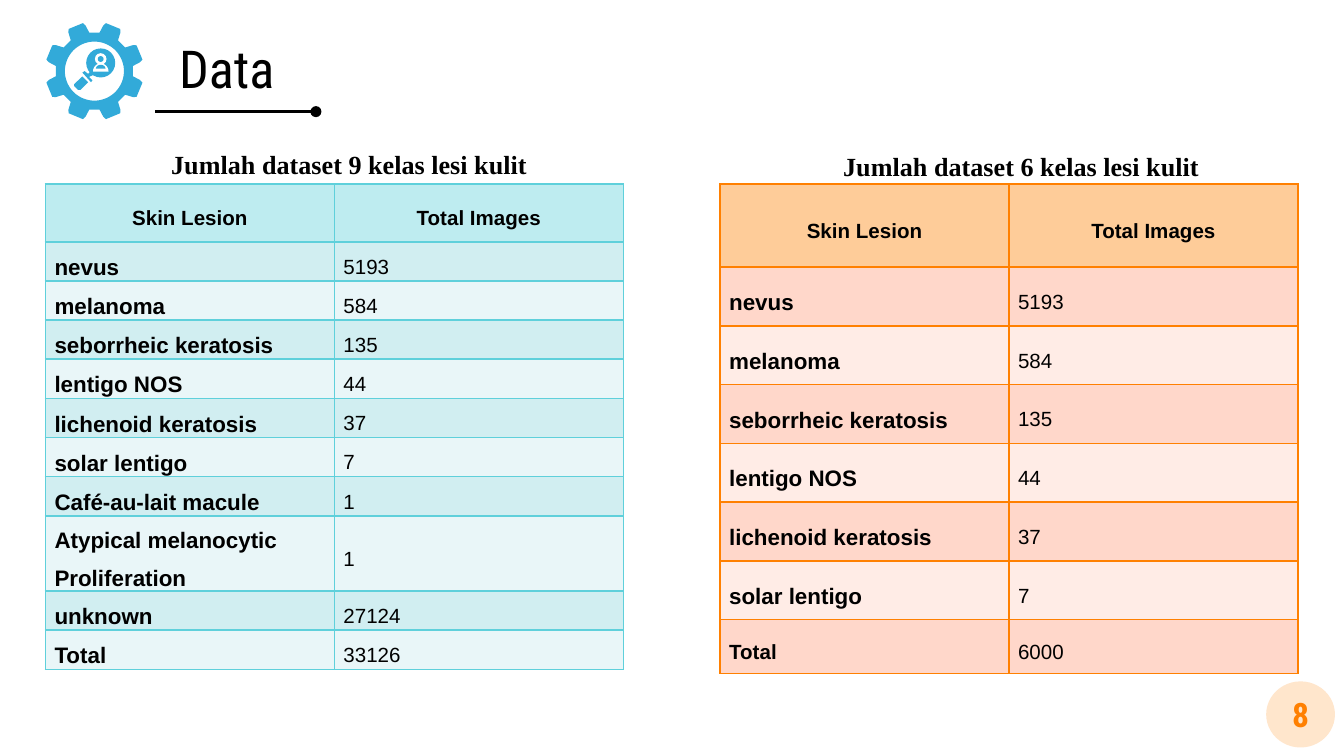
from math import cos, radians, sin

from lxml.etree import SubElement
from pptx import Presentation
from pptx.dml.color import RGBColor
from pptx.enum.shapes import MSO_CONNECTOR, MSO_SHAPE
from pptx.enum.text import MSO_ANCHOR, PP_ALIGN
from pptx.oxml.ns import qn
from pptx.util import Cm, Pt

BLACK = RGBColor(0x00, 0x00, 0x00)
WHITE = RGBColor(0xFF, 0xFF, 0xFF)
BLUE = RGBColor(0x32, 0xAA, 0xD9)
ORANGE = RGBColor(0xFF, 0x80, 0x01)
PEACH = RGBColor(0xFF, 0xE6, 0xCC)
TEAL = RGBColor(0x5F, 0xD0, 0xDB)
TEAL_HEAD = RGBColor(0xBE, 0xEC, 0xF0)
TEAL_BANDS = RGBColor(0xD1, 0xEE, 0xF1), RGBColor(0xE9, 0xF6, 0xF8)
ORANGE_HEAD = RGBColor(0xFE, 0xCC, 0x99)
ORANGE_BANDS = RGBColor(0xFF, 0xD7, 0xCA), RGBColor(0xFF, 0xEC, 0xE6)

HEADER = ("Skin Lesion", "Total Images")
COMMON = [
    ("nevus", "5193"),
    ("melanoma", "584"),
    ("seborrheic keratosis", "135"),
    ("lentigo NOS", "44"),
    ("lichenoid keratosis", "37"),
    ("solar lentigo", "7"),
]
NINE_CLASSES = COMMON + [
    ("Café-au-lait macule", "1"),
    ("Atypical melanocytic Proliferation", "1"),
    ("unknown", "27124"),
    ("Total", "33126"),
]
SIX_CLASSES = COMMON + [("Total", "6000")]


def set_font(p, name, size, color, bold=False):
    """Set the font of a whole paragraph."""
    p.font.name, p.font.size, p.font.bold = name, Pt(size), bold
    p.font.color.rgb = color


def paint(sp, color):
    """Give a shape a flat fill without line or shadow."""
    sp.shadow.inherit = False
    sp.fill.solid()
    sp.fill.fore_color.rgb = color
    sp.line.fill.background()
    return sp


def add_disc(s, cx, cy, rx, ry, color):
    """Add an ellipse around a centre point."""
    box = [Cm(v) for v in (cx - rx, cy - ry, 2 * rx, 2 * ry)]
    return paint(s.shapes.add_shape(MSO_SHAPE.OVAL, *box), color)


def add_outline(s, contours, color):
    """Add a filled outline; further contours cut holes."""
    first, *holes = [[(Cm(x), Cm(y)) for x, y in c] for c in contours]
    builder = s.shapes.build_freeform(*first[0], scale=1.0)
    builder.add_line_segments(first[1:], close=True)
    for hole in holes:
        builder.move_to(*hole[0])
        builder.add_line_segments(hole[1:], close=True)
    return paint(builder.convert_to_shape(), color)


def add_label(s, box, text, font, inset=0.25, spacing=None):
    """Add a centred text box with one paragraph."""
    tf = s.shapes.add_textbox(*[Cm(v) for v in box]).text_frame
    tf.word_wrap = True
    tf.margin_left = tf.margin_right = Cm(0.25)
    tf.margin_top = tf.margin_bottom = Cm(inset)
    tf.vertical_anchor = MSO_ANCHOR.TOP if spacing else MSO_ANCHOR.MIDDLE
    p = tf.paragraphs[0]
    p.text, p.alignment, p.line_spacing = text, PP_ALIGN.CENTER, spacing
    set_font(p, *font)


def add_gear(s, left, top, size):
    """Draw a gear with a magnifier over a person inside a square box."""
    cx, cy, r = left + size / 2, top + size / 2, size / 2

    def polar(angle, k):
        return cx + k * r * cos(radians(angle)), cy + k * r * sin(radians(angle))

    def at(x, y):
        return cx + x * r, cy + y * r

    tooth = [(-15, 0.8), (-11.5, 0.96), (-9, 1.02), (9, 1.02), (11.5, 0.96), (15, 0.8)]
    teeth = [polar(22.5 + 45 * i + a, k) for i in range(8) for a, k in tooth]
    hole = [polar(-a, 0.61) for a in range(0, 360, 5)]
    add_outline(s, [teeth, hole], BLUE)
    for x, y, k, color in [(0.13, -0.17, 0.3, BLUE), (0.13, -0.25, 0.12, WHITE),
                           (0.13, -0.25, 0.06, BLUE)]:
        add_disc(s, *at(x, y), k * r, k * r, color)
    for half, height, base, color in [(0.16, 0.17, 0.01, WHITE), (0.1, 0.08, -0.05, BLUE)]:
        arch = [at(0.13 + half * cos(radians(a)), base - height * sin(radians(a)))
                for a in range(0, 181, 15)]
        add_outline(s, [arch], color)
    add_outline(s, [[at(-0.25, 0.03), at(-0.2, 0), at(-0.13, 0.06), at(-0.08, 0),
                     at(0, 0.07), at(-0.11, 0.12), at(-0.04, 0.19), at(-0.07, 0.23)]], BLUE)
    add_outline(s, [[at(-0.25, 0.11), at(-0.42, 0.27), at(-0.42, 0.31), at(-0.34, 0.39),
                     at(-0.29, 0.39), at(-0.13, 0.23)]], BLUE)


def add_heading(s, left, top, width):
    """Place the gear, the title and its underline."""
    add_gear(s, left, top, 1.83)
    add_label(s, (left + 2.16, top + 0.18, 2.51, 1.35), "Data",
              ("Roboto Condensed", 28, BLACK))
    y = Cm(top + 1.68)
    line = s.shapes.add_connector(MSO_CONNECTOR.STRAIGHT, Cm(left + 2.06), y,
                                  Cm(left + width), y)
    line.line.color.rgb, line.line.width = BLACK, Pt(1.5)
    SubElement(line.line._get_or_add_ln(), qn("a:tailEnd"), type="oval")
    SubElement(line._element.spPr, qn("a:effectLst"))


def set_borders(cell, color):
    """Draw all four edges of a cell."""
    tc_pr = cell._tc.get_or_add_tcPr()
    for edge in ("a:lnL", "a:lnR", "a:lnT", "a:lnB"):
        ln = SubElement(tc_pr, qn(edge), w=str(Pt(1)))
        SubElement(SubElement(ln, qn("a:solidFill")), qn("a:srgbClr"), val=str(color))


def fill_cell(cell, text, size, bold, align, fill, border):
    """Write and style one table cell."""
    set_borders(cell, border)
    cell.fill.solid()
    cell.fill.fore_color.rgb = fill
    cell.vertical_anchor = MSO_ANCHOR.MIDDLE
    cell.margin_left = cell.margin_right = Cm(0.17)
    cell.margin_top = cell.margin_bottom = 0
    p = cell.text_frame.paragraphs[0]
    p.text, p.alignment, p.line_spacing = text, align, 1.5
    set_font(p, "Arial", size, BLACK, bold)


def add_dataset(s, box, rows, heights, head, bands, border, total_size):
    """Place a two-column table of lesion counts."""
    table = s.shapes.add_table(len(rows) + 1, 2, *[Cm(v) for v in box]).table
    for col in table.columns:
        col.width = Cm(box[2] / 2)
    for row, height in zip(table.rows, heights):
        row.height = Cm(height)
    for c, text in enumerate(HEADER):
        fill_cell(table.cell(0, c), text, 11, True, PP_ALIGN.CENTER, head, border)
    for i, (name, count) in enumerate(rows):
        fill = bands[i % 2]
        size = total_size if name == "Total" else 12
        fill_cell(table.cell(i + 1, 0), name, size, True, PP_ALIGN.LEFT, fill, border)
        fill_cell(table.cell(i + 1, 1), count, 11, False, PP_ALIGN.LEFT, fill, border)


def add_page_number(s, left, top, width, height):
    """Place the page number on its disc."""
    cx, cy = left + width / 2, top + height / 2
    add_disc(s, cx, cy, width / 2, height / 2, PEACH)
    add_label(s, (cx - 1.12, cy - 0.28, 2.24, 0.56), "8",
              ("Roboto Condensed", 18, ORANGE, True))


def main():
    """Build the slide and save it."""
    prs = Presentation()
    prs.slide_width, prs.slide_height = Cm(25.4), Cm(14.29)
    s = prs.slides.add_slide(prs.slide_layouts[6])
    add_dataset(s, (0.86, 3.48, 10.92, 9.22), NINE_CLASSES,
                [1.09] + [0.74] * 7 + [1.42] + [0.74] * 2,
                TEAL_HEAD, TEAL_BANDS, TEAL, 12)
    add_dataset(s, (13.61, 3.48, 10.92, 9.22), SIX_CLASSES,
                [1.57] + [1.11] * 6 + [1.02],
                ORANGE_HEAD, ORANGE_BANDS, ORANGE, 11)
    for left, top, classes, spacing in [(0.25, 2.59, 9, 1.15), (12.95, 2.41, 6, 1.5)]:
        add_label(s, (left, top, 12.7, 0.86), f"Jumlah dataset {classes} kelas lesi kulit",
                  ("Times New Roman", 14, BLACK, True), 0.13, spacing)
    add_heading(s, 0.87, 0.43, 5.1)
    add_page_number(s, 23.93, 12.88, 1.3, 1.25)
    prs.save("out.pptx")


if __name__ == "__main__":
    main()
